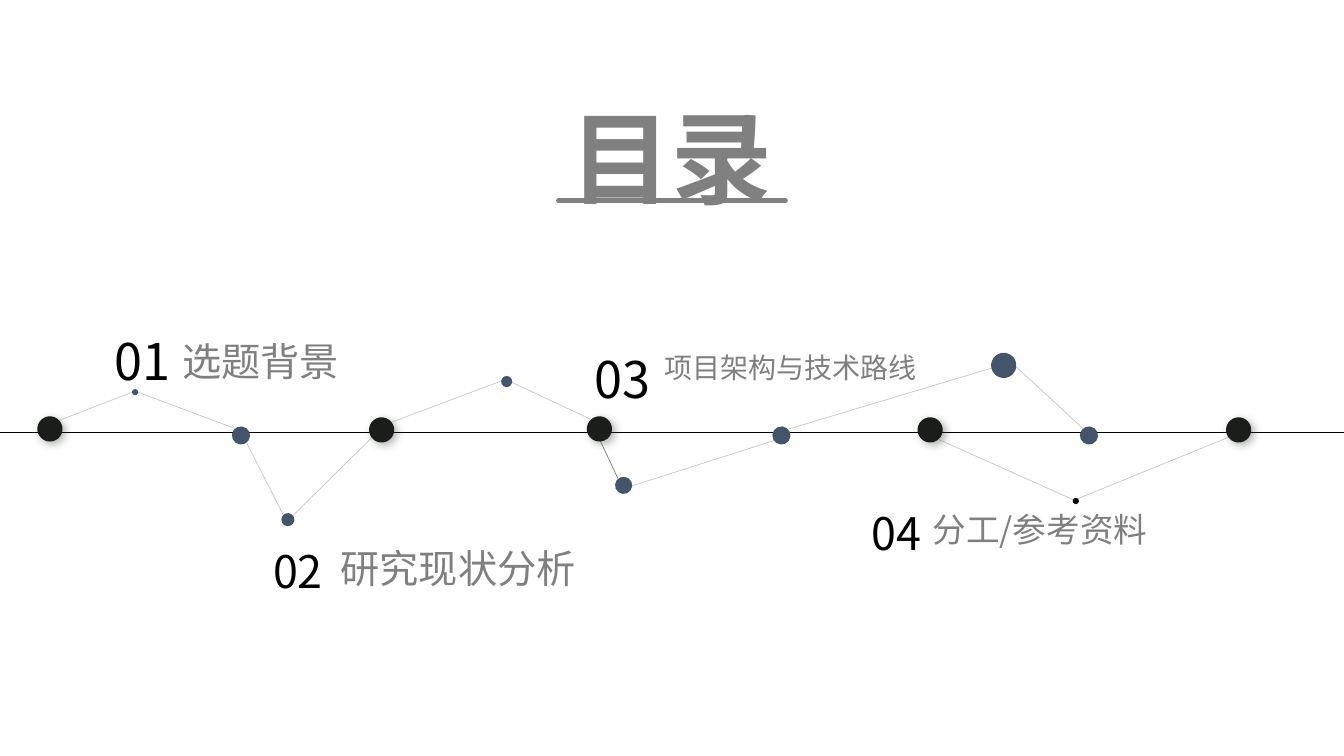
from dataclasses import dataclass

from lxml.etree import SubElement
from pptx import Presentation
from pptx.dml.color import RGBColor
from pptx.enum.shapes import MSO_CONNECTOR, MSO_SHAPE
from pptx.enum.text import MSO_ANCHOR, MSO_AUTO_SIZE, PP_ALIGN
from pptx.oxml.ns import qn
from pptx.util import Inches, Pt


@dataclass(frozen=True)
class Theme:
    font: str = "Noto Sans CJK SC"
    black: str = "000000"
    node: str = "1A1D1A"
    blue: str = "44546A"
    grey: str = "808080"
    shadow: str = "404040"
    title_size: int = 72
    axis_width: float = 0.75
    link_width: float = 0.5
    rule_width: float = 3.5


THEME = Theme()
TITLE = "目录"

# number, left, top, size; label, left, top, width, size
ENTRIES = [
    ("01", 0.45, 3.23, 36, "选题背景", 1.71, 3.3, 3.04, 28),
    ("02", 1.99, 5.34, 32, "研究现状分析", 3.28, 5.35, 3.62, 28),
    ("03", 5.21, 3.4, 36, "项目架构与技术路线", 6.49, 3.43, 3.62, 20),
    ("04", 7.93, 4.97, 32, "分工/参考资料", 9.15, 5, 3.62, 24),
]

# start x, start y, end x, end y, opacity in percent
LINKS = [
    (0.59, 4.17, 1.34, 3.88, 21),
    (1.34, 3.88, 2.33, 4.25, 21),
    (2.44, 4.38, 2.81, 5.11, 21),
    (2.9, 5.12, 3.69, 4.34, 21),
    (3.88, 4.19, 4.97, 3.78, 21),
    (5.86, 4.16, 5.07, 3.79, 21),
    (5.91, 4.28, 6.13, 4.75, 51),
    (7.68, 4.37, 6.27, 4.82, 21),
    (9.84, 3.65, 7.81, 4.26, 21),
    (10.74, 4.25, 10.08, 3.64, 21),
    (10.65, 4.96, 9.31, 4.36, 21),
    (12.18, 4.34, 10.66, 4.96, 21),
]

MAIN_NODES = [(0.37, 4.13), (3.66, 4.14), (5.82, 4.13), (9.1, 4.14), (12.16, 4.14)]
MAIN_DIAMETER = 0.25

# left, top, diameter, colour
SMALL_NODES = [
    (2.3, 4.23, 0.18, THEME.blue),
    (7.66, 4.23, 0.18, THEME.blue),
    (10.71, 4.23, 0.18, THEME.blue),
    (2.79, 5.09, 0.13, THEME.blue),
    (4.97, 3.73, 0.11, THEME.blue),
    (6.1, 4.73, 0.17, THEME.blue),
    (9.83, 3.5, 0.25, THEME.blue),
    (1.31, 3.86, 0.06, THEME.blue),
    (10.64, 4.94, 0.06, THEME.black),
]


def rgb(colour):
    return RGBColor.from_string(colour)


def add_run(para, text, size, colour, bold=False):
    run = para.add_run()
    run.text = text
    run.font.name = THEME.font
    run.font.size = Pt(size)
    run.font.bold = bold
    run.font.color.rgb = rgb(colour)
    SubElement(run.font._element, qn("a:ea"), typeface=THEME.font)


def add_title(page):
    title = page.shapes.title
    title.left, title.top = Inches(4.2), Inches(0.4)
    title.width, title.height = Inches(4.92), Inches(1.7)
    frame = title.text_frame
    frame.auto_size = MSO_AUTO_SIZE.NONE
    frame.vertical_anchor = MSO_ANCHOR.MIDDLE
    para = frame.paragraphs[0]
    para.alignment = PP_ALIGN.CENTER
    para.line_spacing = 1.5
    para.space_before = Pt(0)
    add_run(para, TITLE, THEME.title_size, THEME.grey, bold=True)


def add_text(page, text, left, top, width, size, colour, align=PP_ALIGN.LEFT):
    height = size / 60 + 0.1
    box = page.shapes.add_textbox(Inches(left), Inches(top), Inches(width), Inches(height))
    frame = box.text_frame
    frame.word_wrap = True
    frame.auto_size = MSO_AUTO_SIZE.SHAPE_TO_FIT_TEXT
    para = frame.paragraphs[0]
    para.alignment = align
    add_run(para, text, size, colour)


def add_line(page, x1, y1, x2, y2, colour, width, opacity=100, round_cap=False):
    line = page.shapes.add_connector(
        MSO_CONNECTOR.STRAIGHT, Inches(x1), Inches(y1), Inches(x2), Inches(y2)
    )
    line.line.color.rgb = rgb(colour)
    line.line.width = Pt(width)
    properties = line._element.spPr
    if opacity < 100:
        fill = properties.find(".//" + qn("a:srgbClr"))
        SubElement(fill, qn("a:alpha"), val=str(opacity * 1000))
    if round_cap:
        properties.find(qn("a:ln")).set("cap", "rnd")
    SubElement(properties, qn("a:effectLst"))


def add_dot(page, left, top, diameter, colour):
    dot = page.shapes.add_shape(
        MSO_SHAPE.OVAL, Inches(left), Inches(top), Inches(diameter), Inches(diameter)
    )
    dot.rotation = 186.2
    dot.shadow.inherit = False
    dot.fill.solid()
    dot.fill.fore_color.rgb = rgb(colour)
    dot.line.fill.background()
    return dot


def add_soft_shadow(shape):
    effects = shape._element.spPr.find(qn("a:effectLst"))
    shadow = SubElement(
        effects, qn("a:outerShdw"), blurRad=str(Pt(6)), dist=str(Pt(3)),
        dir=str(45 * 60000), algn="tl", rotWithShape="0",
    )
    colour = SubElement(shadow, qn("a:srgbClr"), val=THEME.shadow)
    SubElement(colour, qn("a:alpha"), val="40000")


def main():
    deck = Presentation()
    deck.slide_width, deck.slide_height = Inches(13.33), Inches(7.5)
    page = deck.slides.add_slide(deck.slide_layouts[5])

    add_title(page)
    add_line(page, 5.54, 1.99, 7.79, 1.99, THEME.grey, THEME.rule_width, round_cap=True)
    add_line(page, 0, 4.29, 13.33, 4.29, THEME.black, THEME.axis_width)
    for *ends, opacity in LINKS:
        add_line(page, *ends, THEME.black, THEME.link_width, opacity)
    for left, top in MAIN_NODES:
        add_soft_shadow(add_dot(page, left, top, MAIN_DIAMETER, THEME.node))
    for node in SMALL_NODES:
        add_dot(page, *node)
    for number, x, y, size, label, label_x, label_y, width, label_size in ENTRIES:
        add_text(page, number, x, y, 1.93, size, THEME.black, PP_ALIGN.CENTER)
        add_text(page, label, label_x, label_y, width, label_size, THEME.grey)

    deck.save("out.pptx")


if __name__ == "__main__":
    main()
